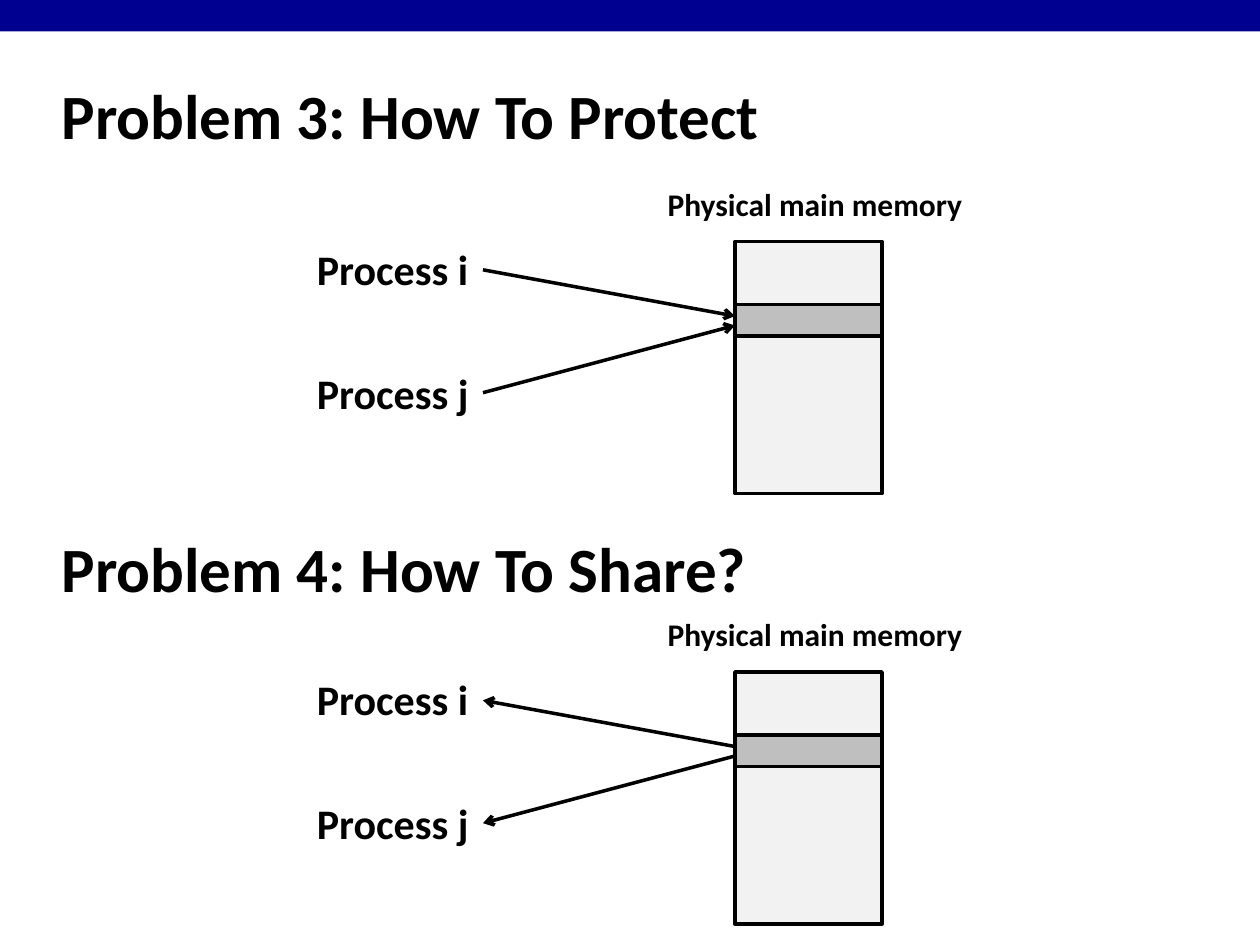
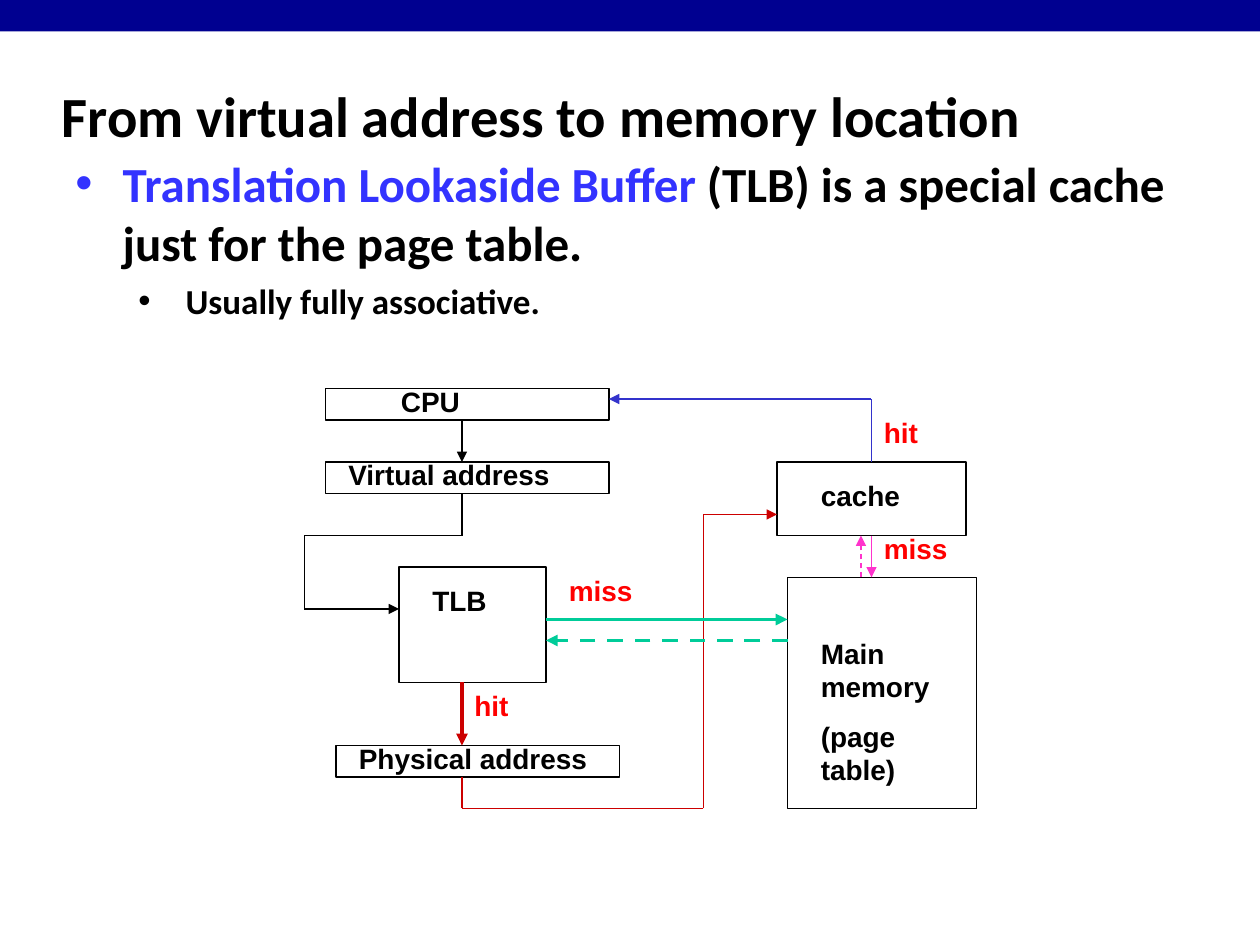
import itertools

import pptx
import pptx.dml.color
import pptx.enum.dml
import pptx.enum.shapes
import pptx.enum.text
import pptx.oxml
import pptx.oxml.ns
import pptx.util

RGB = pptx.dml.color.RGBColor
ANCHOR = pptx.enum.text.MSO_ANCHOR
PX = 7620  # 120 px to the inch

BLACK = RGB(0x00, 0x00, 0x00)
NAVY = RGB(0x00, 0x00, 0x90)
PALE = RGB(0xF2, 0xF2, 0xF2)
GREY = RGB(0xBF, 0xBF, 0xBF)
RED = RGB(0xFF, 0x00, 0x00)
CRIMSON = RGB(0xCC, 0x00, 0x00)
BLUE = RGB(0x33, 0x33, 0xCC)
BRIGHT = RGB(0x33, 0x33, 0xFF)
PINK = RGB(0xFF, 0x33, 0xCC)
GREEN = RGB(0x00, 0xCC, 0x99)


def emu(*sizes):
    return [pptx.util.Emu(size * PX) for size in sizes]


def node(tag, **attrs):
    """Make an empty element such as a:buChar."""
    item = pptx.oxml.parse_xml(f"<{tag} {pptx.oxml.ns.nsdecls('a')}/>")
    for name, value in attrs.items():
        item.set(name, value)
    return item


def write(para, words, size=16, font="Arial", color=BLACK):
    run = para.add_run()
    run.text = words
    run.font.size = pptx.util.Pt(size)
    run.font.name = font
    run.font.bold = True
    run.font.color.rgb = color


def frame(slide, box, wrap=True, anchor=ANCHOR.TOP):
    body = slide.shapes.add_textbox(*emu(*box)).text_frame
    body.word_wrap = wrap
    body.vertical_anchor = anchor
    return body


def label(slide, box, *lines, wrap=True, anchor=ANCHOR.TOP, gap=9, **style):
    """Add a text box with one paragraph for each line."""
    body = frame(slide, box, wrap, anchor)
    for index, words in enumerate(lines):
        para = body.add_paragraph() if index else body.paragraphs[0]
        if index:
            para.space_before = pptx.util.Pt(gap)
        write(para, words, **style)


def bullet(para, left, hang):
    props = para._p.get_or_add_pPr()
    left, hang = emu(left, hang)
    props.set("marL", str(left))
    props.set("indent", str(-hang))
    props.append(node("a:buFont", typeface="Arial"))
    props.append(node("a:buChar", char="•"))


def block(slide, box, fill=None, line=BLACK, width=0.75):
    rect = pptx.enum.shapes.MSO_SHAPE.RECTANGLE
    shape = slide.shapes.add_shape(rect, *emu(*box))
    shape.shadow.inherit = False
    if fill is None:
        shape.fill.background()
    else:
        shape.fill.solid()
        shape.fill.fore_color.rgb = fill
    if line is None:
        shape.line.fill.background()
    else:
        shape.line.color.rgb = line
        shape.line.width = pptx.util.Pt(width)


def route(slide, *points, color=BLACK, width=0.75, head="triangle", dash=False):
    """Join the points with straight lines and put an arrowhead on the last."""
    straight = pptx.enum.shapes.MSO_CONNECTOR.STRAIGHT
    for start, end in itertools.pairwise(points):
        link = slide.shapes.add_connector(straight, *emu(*start, *end))
        link.line.color.rgb = color
        link.line.width = pptx.util.Pt(width)
        if dash:
            link.line.dash_style = pptx.enum.dml.MSO_LINE.DASH
        props = link.element.spPr
        if head and end == points[-1]:
            props.find(pptx.oxml.ns.qn("a:ln")).append(node("a:tailEnd", type=head))
        props.append(node("a:effectLst"))


def title(slide, words, top=59, size=36):
    label(slide, (47, top, 996, 100), words,
          size=size, font="Calibri", anchor=ANCHOR.MIDDLE)


def page(deck):
    """Add a blank slide with the top band."""
    slide = deck.slides.add_slide(deck.slide_layouts[6])
    block(slide, (0, 0, 1200, 30), fill=NAVY, line=None)
    return slide


def memory(slide, top, share=False):
    """Draw two processes linked to one region of main memory."""
    label(slide, (624, top, 316, 48), "Physical main memory",
          size=18, font="Calibri", wrap=False)
    block(slide, (700, top + 60, 140, 240), fill=PALE, width=2)
    block(slide, (700, top + 120, 140, 30), fill=GREY, width=2)
    for name, drop, near, far in (("i", 56, 87, 131), ("j", 174, 204, 140)):
        label(slide, (290, top + drop, 170, 60), f"Process {name}",
              size=24, font="Calibri", wrap=False)
        ends = [(460, top + near), (700, top + far)]
        if share:
            ends.reverse()
        route(slide, *ends, width=2, head="arrow")


def problems(deck):
    slide = page(deck)
    title(slide, "Problem 3: How To Protect")
    memory(slide, 170)
    title(slide, "Problem 4: How To Share?", top=490)
    memory(slide, 580, share=True)


def intro(slide):
    body = frame(slide, (60, 140, 1080, 664))
    first = body.paragraphs[0]
    bullet(first, 45, 45)
    write(first, "Translation Lookaside Buffer ", size=28, font="Calibri", color=BRIGHT)
    write(first, "(TLB) is a special cache just for the page table.",
          size=28, font="Calibri")
    second = body.add_paragraph()
    second.level = 1
    bullet(second, 105, 45)
    second.space_before = pptx.util.Pt(5)
    write(second, "Usually fully associative.", size=20, font="Calibri")


def lookup(deck):
    slide = page(deck)
    title(slide, "From virtual address to memory location", size=32.4)

    parts = (
        ((310, 370, 270, 30), (370, 360, 220, 44), ["CPU"]),
        ((310, 440, 270, 30), (320, 430, 290, 44), ["Virtual address"]),
        ((380, 540, 140, 110), (400, 550, 130, 44), ["TLB"]),
        ((320, 710, 270, 30), (330, 700, 280, 44), ["Physical address"]),
        ((740, 440, 180, 70), (770, 450, 130, 44), ["cache"]),
        ((750, 550, 180, 220), (770, 600, 170, 125), ["Main memory", "(page table)"]),
    )
    for box, area, lines in parts:
        block(slide, box)
        label(slide, area, *lines)

    route(slide, (440, 400), (440, 440))
    route(slide, (440, 470), (440, 510), (290, 510), (290, 580), (380, 580))
    route(slide, (440, 650), (440, 710), color=CRIMSON, width=2.25)
    route(slide, (440, 740), (440, 770), (670, 770), (670, 490), (740, 490),
          color=CRIMSON)
    route(slide, (830, 440), (830, 380), (580, 380), color=BLUE)
    route(slide, (830, 510), (830, 550), color=PINK)
    route(slide, (820, 550), (820, 510), color=PINK, dash=True)
    route(slide, (520, 590), (750, 590), color=GREEN, width=2.25)
    route(slide, (750, 610), (520, 610), color=GREEN, width=2.25, dash=True)

    for words, left, top in (("hit", 440, 650), ("miss", 530, 540),
                             ("hit", 830, 390), ("miss", 830, 500)):
        label(slide, (left, top, 130, 44), words, color=RED)
    intro(slide)


def main():
    deck = pptx.Presentation()
    deck.slide_width, deck.slide_height = emu(1200, 900)
    problems(deck)
    lookup(deck)
    deck.save("out.pptx")


if __name__ == "__main__":
    main()
